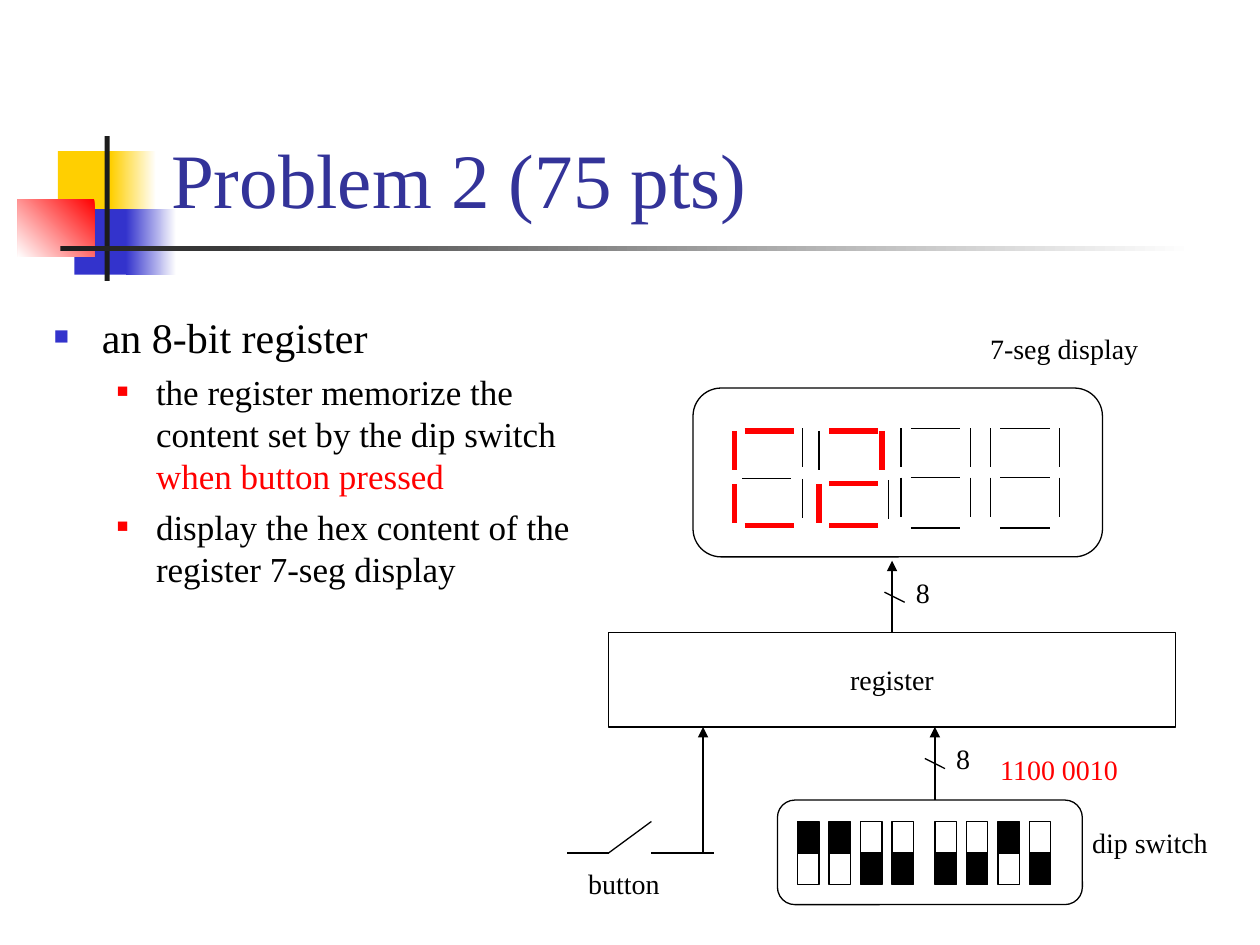
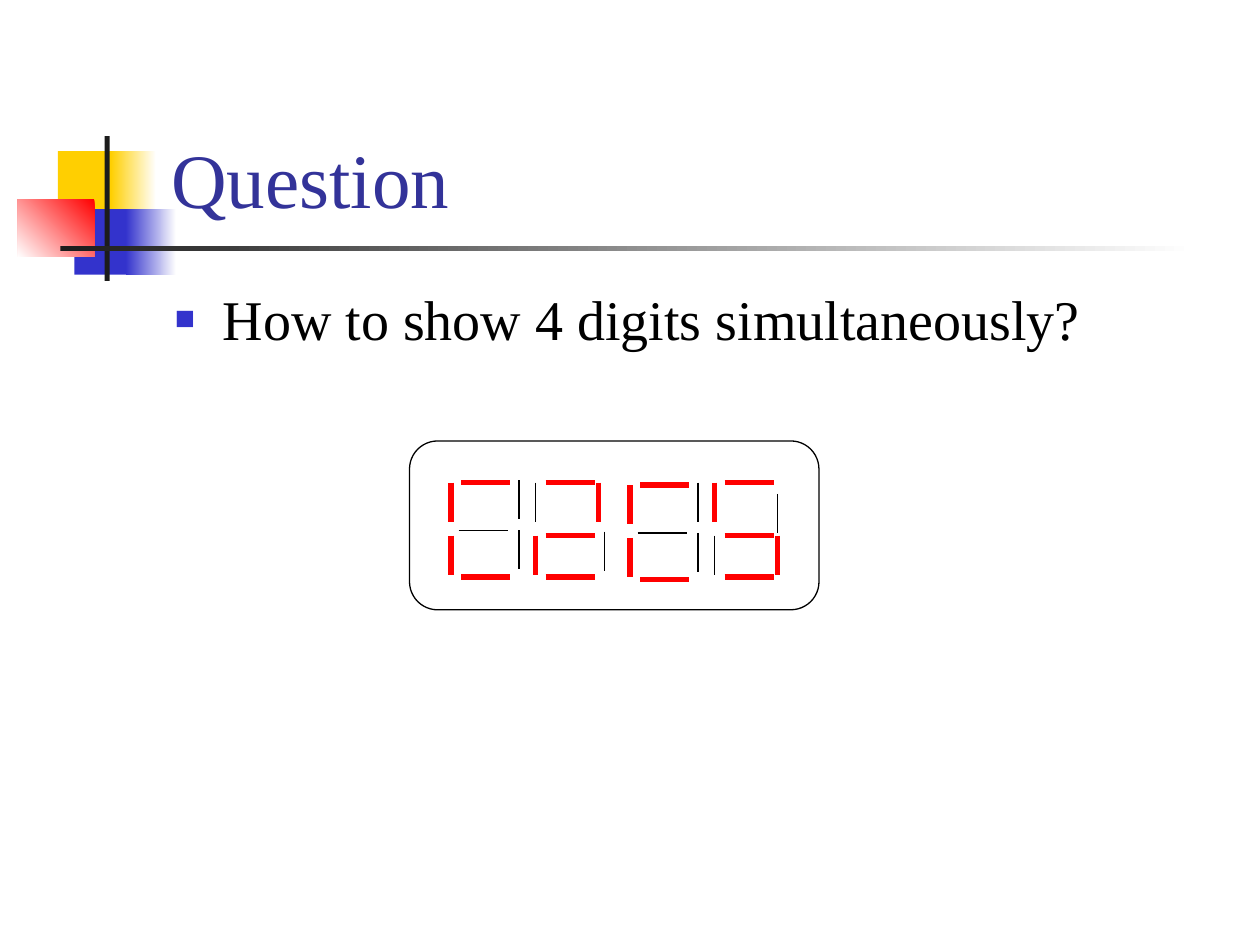
from lxml.etree import SubElement
from pptx import Presentation
from pptx.dml.color import RGBColor
from pptx.enum.shapes import MSO_CONNECTOR, MSO_SHAPE
from pptx.enum.text import MSO_ANCHOR, MSO_AUTO_SIZE, PP_ALIGN
from pptx.oxml.ns import qn
from pptx.util import Inches, Pt

FONT = "Times New Roman"
BLACK, WHITE, RED = "000000", "FFFFFF", "FF0000"
BLUE, GOLD, DARK, NAVY = "3333CC", "FFCF01", "1C1C1C", "333399"
FLAT, TALL = (0.39, 0), (0, 0.31)

# Each segment: direction, offset from the digit's top left, lit or not.
DIGITS = {
    "C": [(FLAT, 0.08, 0, True), (TALL, 0, 0, True),
          (TALL, 0.54, -0.02, False), (FLAT, 0.06, 0.38, False),
          (FLAT, 0.08, 0.75, True), (TALL, 0, 0.42, True),
          (TALL, 0.54, 0.38, False)],
    "2": [(FLAT, 0.08, 0, True), (TALL, 0, 0, False),
          (TALL, 0.5, 0, True), (FLAT, 0.08, 0.42, True),
          (FLAT, 0.08, 0.75, True), (TALL, 0, 0.42, True),
          (TALL, 0.55, 0.39, False)],
    "5": [(FLAT, 0.08, 0, True), (TALL, 0, 0, True),
          (TALL, 0.5, 0.09, False), (FLAT, 0.08, 0.42, True),
          (FLAT, 0.08, 0.75, True), (TALL, 0, 0.42, False),
          (TALL, 0.5, 0.42, True)],
    "off": [(FLAT, 0.08, 0, False), (TALL, 0, 0, False),
            (TALL, 0.55, 0, False), (FLAT, 0.08, 0.39, False),
            (FLAT, 0.08, 0.79, False), (TALL, 0, 0.39, False),
            (TALL, 0.55, 0.39, False)],
}


def rgb(code):
    """Turn a hex string into a colour."""
    return RGBColor.from_string(code)


def block(slide, box, fill=None, line=None, kind=MSO_SHAPE.RECTANGLE):
    """Add a preset shape with an optional fill and outline."""
    shape = slide.shapes.add_shape(kind, *map(Inches, box))
    shape.shadow.inherit = False
    if fill:
        shape.fill.solid()
        shape.fill.fore_color.rgb = rgb(fill)
    else:
        shape.fill.background()
    if line:
        shape.line.color.rgb = rgb(line)
        shape.line.width = Pt(0.75)
    else:
        shape.line.fill.background()
    return shape


def fade(slide, box, color, angle=0):
    """Add a rectangle that fades from a colour to white."""
    fill = block(slide, box).fill
    fill.gradient()
    fill.gradient_angle = angle
    for stop, code in zip(fill.gradient_stops, (color, WHITE)):
        stop.color.rgb = rgb(code)


def panel(slide, box):
    """Add a rounded outline."""
    block(slide, box, line=BLACK, kind=MSO_SHAPE.ROUNDED_RECTANGLE)


def wire(slide, start, end, color=BLACK, width=0.75, arrow=False):
    """Add a straight line, with an arrowhead at its end if asked."""
    link = slide.shapes.add_connector(
        MSO_CONNECTOR.STRAIGHT, *map(Inches, (*start, *end)))
    link.line.color.rgb = rgb(color)
    link.line.width = Pt(width)
    if arrow:
        SubElement(link.line._get_or_add_ln(), qn("a:tailEnd"), type="triangle")
    SubElement(link._element.spPr, qn("a:effectLst"))
    return link


def write(para, words, size=16, color=BLACK):
    """Add a run of formatted text to a paragraph."""
    run = para.add_run()
    run.text = words
    run.font.name = FONT
    run.font.size = Pt(size)
    run.font.color.rgb = rgb(color)


def frame(slide, box, anchor=MSO_ANCHOR.TOP):
    """Add an empty text box and return its text frame."""
    body = slide.shapes.add_textbox(*map(Inches, box)).text_frame
    body.word_wrap = True
    body.vertical_anchor = anchor
    return body


def label(slide, box, words, **look):
    """Add a one-line label whose box grows to fit."""
    body = frame(slide, box)
    body.word_wrap = False
    body.auto_size = MSO_AUTO_SIZE.SHAPE_TO_FIT_TEXT
    write(body.paragraphs[0], words, **look)


def bullet(para, left, hang, color, share, gap):
    """Give a paragraph a square bullet with a hanging indent."""
    para.space_before = Pt(gap)
    props = para._p.get_or_add_pPr()
    props.set("marL", str(Inches(left)))
    props.set("indent", str(-Inches(hang)))
    tint = SubElement(props, qn("a:buClr"))
    SubElement(tint, qn("a:srgbClr"), val=color)
    SubElement(props, qn("a:buSzPct"), val=str(share * 1000))
    SubElement(props, qn("a:buFont"), typeface=FONT)
    SubElement(props, qn("a:buChar"), char="■")


def point(para, gap):
    """Make a paragraph a first-level bullet."""
    bullet(para, 0.38, 0.38, BLUE, 60, gap)


def detail(body):
    """Add a second-level bullet paragraph."""
    para = body.add_paragraph()
    bullet(para, 0.81, 0.31, RED, 55, 5)
    return para


def base(deck, title):
    """Add a blank slide with the shared ornament and a title."""
    slide = deck.slides.add_slide(deck.slide_layouts[6])
    block(slide, (0.46, 1.2, 0.48, 0.52), GOLD)
    fade(slide, (0.88, 1.2, 0.36, 0.52), GOLD)
    block(slide, (0.59, 1.66, 0.46, 0.52), BLUE)
    fade(slide, (1, 1.66, 0.4, 0.52), BLUE)
    fade(slide, (0.14, 1.58, 0.61, 0.46), RED, 225)
    block(slide, (0.83, 1.08, 0.04, 1.15), DARK)
    fade(slide, (0.48, 1.95, 9, 0.04), DARK)
    head = frame(slide, (1.26, 0.23, 8.52, 1.6), anchor=MSO_ANCHOR.BOTTOM)
    write(head.paragraphs[0], title, size=44, color=NAVY)
    return slide


def digit(slide, name, left, top):
    """Draw the seven segments of one digit."""
    for (wide, high), right, down, lit in DIGITS[name]:
        x, y = left + right, top + down
        color, width = (RED, 3) if lit else (BLACK, 0.75)
        wire(slide, (x, y), (x + wide, y + high), color, width)


def screen(slide, left, top, digits):
    """Draw a display with digits placed relative to its corner."""
    for name, right, down in digits:
        digit(slide, name, left + right, top + down)
    panel(slide, (left, top, 3.25, 1.34))


def switch(slide, bits):
    """Draw the dip switch, with the upper half black for a 1."""
    for spot, bit in enumerate(bits):
        left = 6.33 + 0.25 * spot + (0.09 if spot > 3 else 0)
        for top, mark in ((6.52, "1"), (6.77, "0")):
            fill = BLACK if bit == mark else None
            block(slide, (left, top, 0.17, 0.25), fill, BLACK)
    panel(slide, (6.17, 6.35, 2.42, 0.83))


def bus(slide, x, y):
    """Mark a wire as eight bits wide."""
    wire(slide, (x - 0.08, y - 0.04), (x + 0.08, y + 0.04))
    label(slide, (x + 0.07, y - 0.22, 0.31, 0.37), "8")


def button(slide):
    """Draw the open push button and its wire to the register."""
    wire(slide, (4.5, 6.77), (4.83, 6.77))
    wire(slide, (4.83, 6.77), (5.17, 6.52))
    wire(slide, (5.17, 6.77), (5.67, 6.77))
    wire(slide, (5.58, 6.77), (5.58, 5.77), arrow=True)
    label(slide, (4.57, 6.83, 0.77, 0.37), "button")


def problem(deck):
    """Build the slide that sets the register problem."""
    slide = base(deck, "Problem 2 (75 pts)")
    body = frame(slide, (0.33, 2.42, 4.58, 4.17))
    para = body.paragraphs[0]
    point(para, 6)
    write(para, "an 8-bit register", size=24)
    para = detail(body)
    write(para, "the register memorize the content set by the dip switch ",
          size=20)
    write(para, "when button pressed", size=20, color=RED)
    write(detail(body), "display the hex content of the register 7-seg display",
          size=20)

    store = block(slide, (4.83, 5.02, 4.5, 0.75), line=BLACK)
    store.text_frame.vertical_anchor = MSO_ANCHOR.MIDDLE
    para = store.text_frame.paragraphs[0]
    para.alignment = PP_ALIGN.CENTER
    write(para, "register")

    switch(slide, "11000010")
    wire(slide, (7.42, 6.35), (7.42, 5.77), arrow=True)
    bus(slide, 7.42, 6.06)
    button(slide)
    link = wire(slide, (7.08, 5.02), (7.08, 4.45), arrow=True)
    link.begin_connect(store, 0)
    bus(slide, 7.1, 4.74)
    label(slide, (8.57, 6.5, 1.12, 0.37), "dip switch")
    label(slide, (7.76, 2.58, 1.38, 0.37), "7-seg display")
    label(slide, (7.84, 5.92, 1.14, 0.37), "1100 0010", color=RED)
    screen(slide, 5.5, 3.08, [("C", 0.33, 0.34), ("2", 1, 0.34),
                              ("off", 1.65, 0.32), ("off", 2.36, 0.32)])


def question(deck):
    """Build the slide that asks about four digits."""
    slide = base(deck, "Question")
    para = frame(slide, (1.29, 2.21, 8.5, 0.71)).paragraphs[0]
    point(para, 8)
    write(para, "How to show 4 digits simultaneously?", size=32)
    screen(slide, 3.25, 3.5, [("C", 0.33, 0.33), ("2", 1, 0.33),
                              ("C", 1.75, 0.35), ("5", 2.42, 0.33)])


def main():
    """Build and save the two slides."""
    deck = Presentation()
    deck.slide_width, deck.slide_height = Inches(10), Inches(7.5)
    problem(deck)
    question(deck)
    deck.save("out.pptx")


if __name__ == "__main__":
    main()
